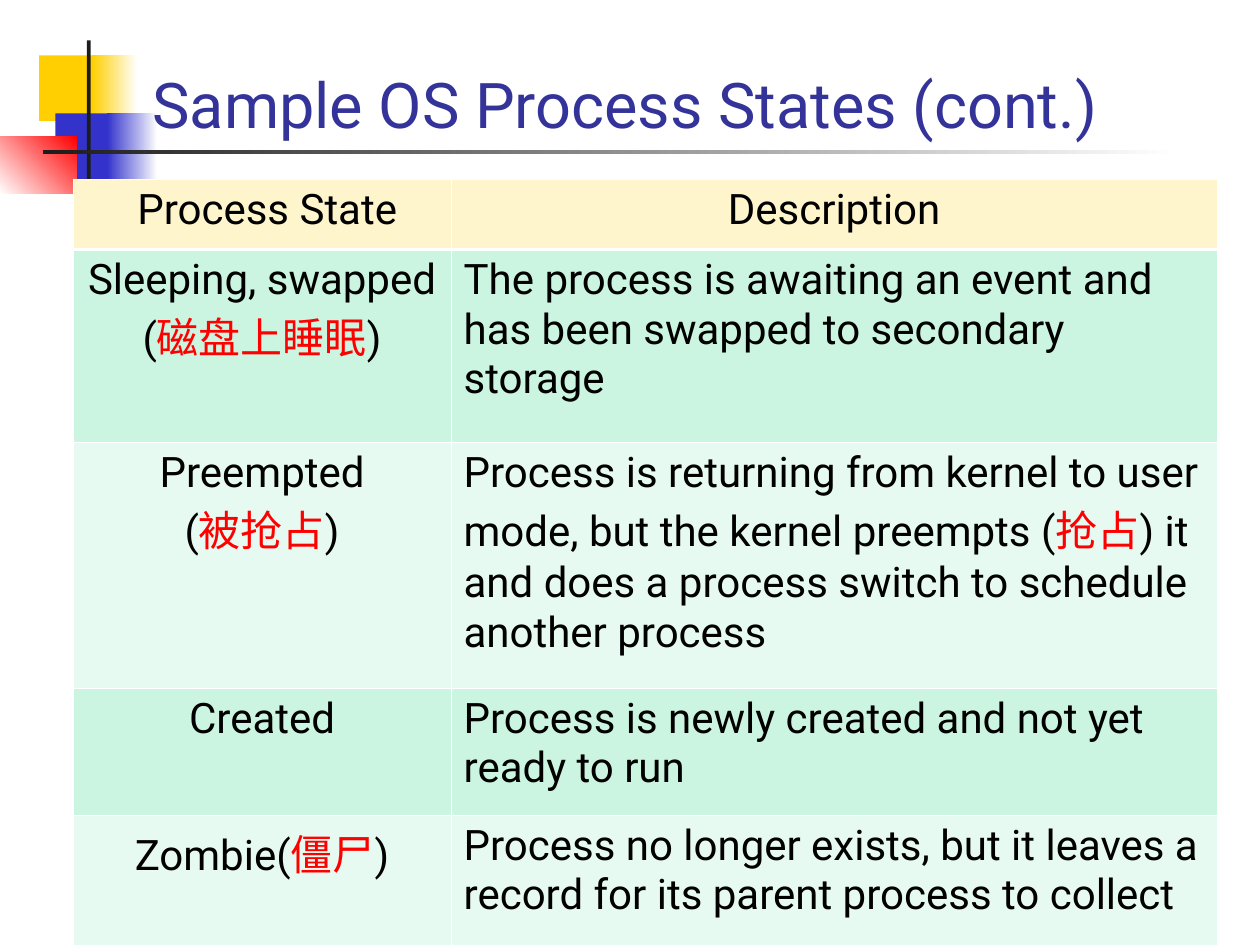
from pptx import Presentation
from pptx.dml.color import RGBColor
from pptx.enum.shapes import MSO_SHAPE
from pptx.enum.text import MSO_ANCHOR, MSO_AUTO_SIZE, PP_ALIGN
from pptx.oxml import parse_xml
from pptx.oxml.ns import nsdecls
from pptx.util import Inches, Pt

COLORS = {
    "gold": "FFCF01", "blue": "3333CC", "red": "FF0000", "ink": "1C1C1C",
    "white": "FFFFFF", "black": "000000", "title": "333399",
    "head": "FFF5CC", "odd": "CBF5E1", "even": "E7FAF1",
}
COLS, ROWS = 100, 75

# Text between bars is shown in red; each list item is one paragraph.
STATES = [
    ([" Process State"], ["Description"]),
    (["Sleeping, swapped (|磁盘上睡眠|)"],
     ["The process is awaiting an event and has been swapped to secondary storage"]),
    (["Preempted", "(|被抢占|)"],
     ["Process is returning from kernel to user mode, but the kernel preempts "
      "(|抢占|) it and does a process switch to schedule another process"]),
    (["Created"], ["Process is newly created and not yet ready to run"]),
    (["Zombie(|僵尸|)"],
     ["Process no longer exists, but it leaves a record for its parent "
      "process to collect"]),
]


def tint(name):
    return RGBColor.from_string(COLORS[name])


class Deck:
    """Holds the style and the current slide; lengths are grid columns and rows."""

    font = "Roboto"

    def __init__(self):
        self.prs = Presentation()
        self.prs.slide_width, self.prs.slide_height = Inches(10), Inches(7.5)
        self.slide = self.prs.slides.add_slide(self.prs.slide_layouts[5])

    def x(self, cols):
        return round(self.prs.slide_width * cols / COLS)

    def y(self, rows):
        return round(self.prs.slide_height * rows / ROWS)

    def box(self, left, top, width, height):
        return self.x(left), self.y(top), self.x(width), self.y(height)

    def style(self, run, size, color):
        run.font.name, run.font.size = self.font, Pt(size)
        run.font.color.rgb = tint(color)

    def block(self, place, color, fade=None, angle=0):
        """Draw a plain rectangle, or one that fades from color to fade."""
        shape = self.slide.shapes.add_shape(MSO_SHAPE.RECTANGLE, *self.box(*place))
        shape.shadow.inherit = False
        shape.line.fill.background()
        if fade is None:
            shape.fill.solid()
            shape.fill.fore_color.rgb = tint(color)
            return
        shape.fill.gradient()
        shape.fill.gradient_angle = angle
        for stop, name in zip(shape.fill.gradient_stops, (color, fade)):
            stop.color.rgb = tint(name)

    def title(self, place, text):
        shape = self.slide.shapes.title
        shape.left, shape.top, shape.width, shape.height = self.box(*place)
        frame = shape.text_frame
        frame.text = text
        frame.auto_size = MSO_AUTO_SIZE.NONE
        frame.vertical_anchor = MSO_ANCHOR.BOTTOM
        frame.paragraphs[0].alignment = PP_ALIGN.LEFT
        self.style(frame.paragraphs[0].runs[0], 36, "title")
        # Bring the title in front of the blocks.
        self.slide.shapes._spTree.append(shape._element)

    def edge(self, cell, **widths):
        """Give the cell white borders; widths are points by side."""
        props = cell._tc.get_or_add_tcPr()
        for spot, side in enumerate(("L", "R", "T", "B")):
            width = Pt(widths.get(side, 0.45))
            props.insert(spot, parse_xml(
                f'<a:ln{side} {nsdecls("a")} w="{width}"><a:solidFill>'
                f'<a:srgbClr val="{COLORS["white"]}"/></a:solidFill></a:ln{side}>'))

    def fill(self, cell, lines, color, align):
        cell.fill.solid()
        cell.fill.fore_color.rgb = tint(color)
        frame = cell.text_frame
        for i, line in enumerate(lines):
            para = frame.add_paragraph() if i else frame.paragraphs[0]
            para.alignment = align
            for j, part in enumerate(line.split("|")):
                run = para.add_run()
                run.text = part
                self.style(run, 24, "red" if j % 2 else "black")

    def table(self, left, top, widths, heights, data):
        place = self.box(left, top, sum(widths), sum(heights))
        grid = self.slide.shapes.add_table(len(data), len(widths), *place).table
        grid.horz_banding = False
        for col, width in zip(grid.columns, widths):
            col.width = self.x(width)
        for r, (row, height) in enumerate(zip(grid.rows, heights)):
            row.height = self.y(height)
            color = "head" if r == 0 else "odd" if r % 2 else "even"
            rule = {0: {"B": 1.47}, 1: {"T": 1.47}}.get(r, {})
            for c, cell in enumerate(row.cells):
                align = PP_ALIGN.LEFT if r and c else PP_ALIGN.CENTER
                self.fill(cell, data[r][c], color, align)
                self.edge(cell, **rule)


def main():
    deck = Deck()
    deck.block((3.1, 4.4, 4.8, 5.2), "gold")
    deck.block((7.3, 4.4, 3.6, 5.2), "gold", "white")
    deck.block((4.4, 9, 4.6, 5.2), "blue")
    deck.block((8.5, 9, 4, 5.2), "blue", "white")
    deck.block((0, 10.8, 6.1, 4.6), "white", "red", 45)
    deck.block((6.9, 3.2, 0.3, 11.5), "ink")
    deck.block((3.4, 11.9, 90, 0.3), "ink", "white")
    deck.title((11.1, 2.5, 85.2, 9.2), "Sample OS Process States (cont.)")
    deck.table(5.8, 14.2, (30, 60.8), (5.6, 15.3, 19.5, 10.1, 10.3), STATES)
    deck.prs.save("out.pptx")


if __name__ == "__main__":
    main()
